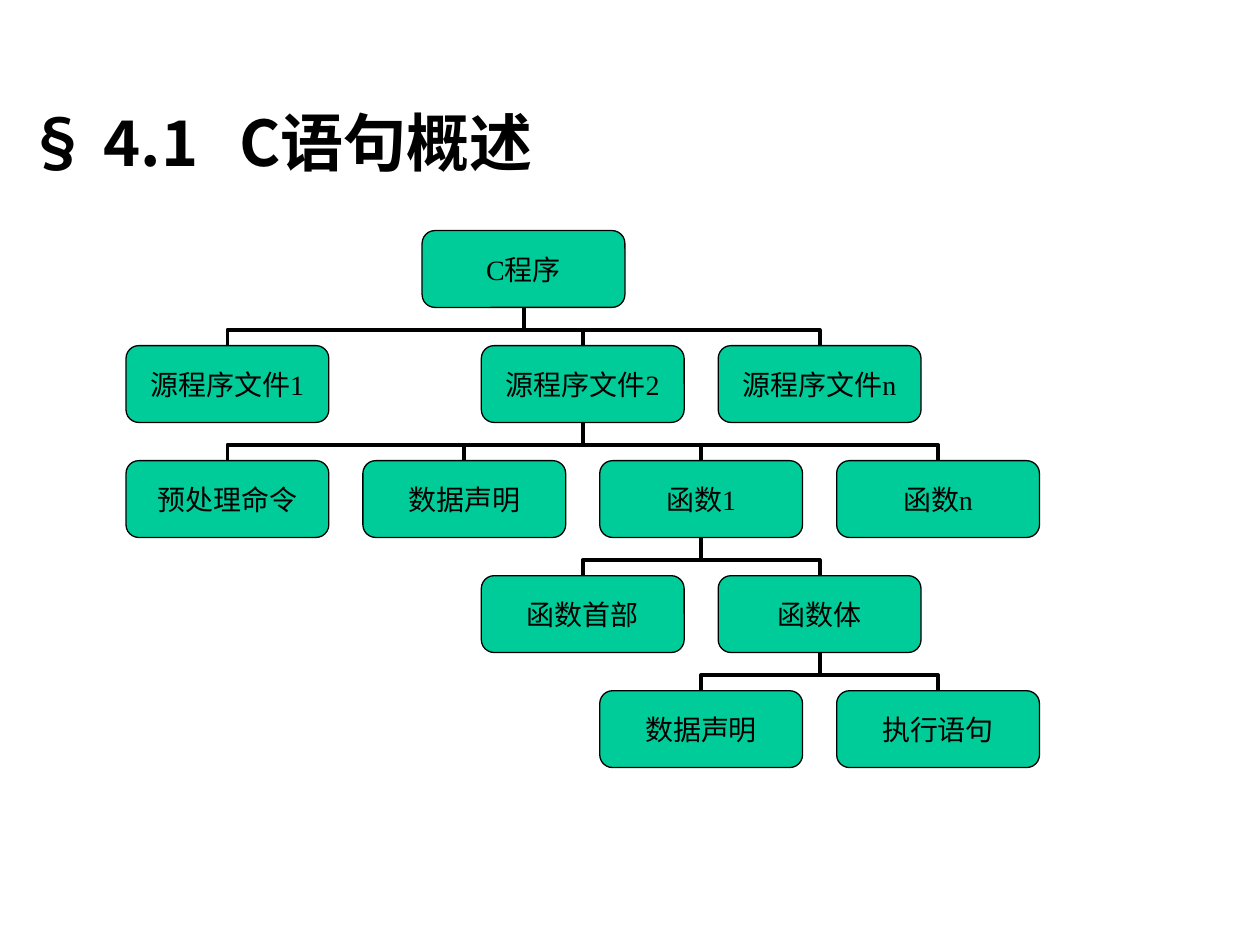
"""Build a slide with a tree of the parts of a C program."""
from lxml import etree
from pptx import Presentation, util as u
from pptx.dml.color import RGBColor
from pptx.enum import shapes, text
from pptx.oxml import ns

THEME = {
    "ink": RGBColor.from_string("000000"),
    "node": RGBColor.from_string("00CC99"),
    "latin": "Times New Roman",
    "cjk": "Noto Sans CJK SC",
    "title_size": u.Pt(36),
    "node_size": u.Pt(16),
    "branch_width": u.Pt(2.25),
    "border_width": u.Pt(0.75),
}
LEFT, TOP = u.Inches(1), u.Inches(1.83)
COLUMN, ROW = u.Inches(0.47), u.Inches(0.913)
NODE_WIDTH, NODE_HEIGHT = u.Inches(1.61), u.Inches(0.61)
GAP = ROW - NODE_HEIGHT

TREE = [
    ("C程序", 5, 0, None),
    ("源程序文件1", 0, 1, 0),
    ("源程序文件2", 6, 1, 0),
    ("源程序文件n", 10, 1, 0),
    ("预处理命令", 0, 2, 2),
    ("数据声明", 4, 2, 2),
    ("函数1", 8, 2, 2),
    ("函数n", 12, 2, 2),
    ("函数首部", 6, 3, 6),
    ("函数体", 10, 3, 6),
    ("数据声明", 8, 4, 9),
    ("执行语句", 12, 4, 9),
]


def add_span(para, wording, size, latin, bold=False):
    span = para.add_run()
    span.text = wording
    span.font.size = size
    span.font.bold = bold
    span.font.name = latin
    span.font.color.rgb = THEME["ink"]
    east_asian = etree.SubElement(span.font._element, ns.qn("a:ea"))
    east_asian.set("typeface", THEME["cjk"])


deck = Presentation()
deck.slide_width, deck.slide_height = u.Inches(10), u.Inches(7.5)
page = deck.slides.add_slide(deck.slide_layouts[6])

title = page.shapes.add_textbox(0, deck.slide_height // 15, deck.slide_width, deck.slide_height // 6)
frame = title.text_frame
frame.word_wrap = True
frame.vertical_anchor = text.MSO_ANCHOR.MIDDLE
frame.margin_left = u.Inches(0.21)
para = frame.paragraphs[0]
para.alignment = text.PP_ALIGN.LEFT
tabs = etree.SubElement(para._p.get_or_add_pPr(), ns.qn("a:tabLst"))
etree.SubElement(tabs, ns.qn("a:tab"), pos=str(u.Inches(1.69)), algn="l")
add_span(para, "§ 4.1\tC语句概述", THEME["title_size"], THEME["cjk"], bold=True)

for label, column, row, parent in TREE[1:]:
    offset = column - TREE[parent][1]
    side = 1 if offset > 0 else -1
    middle_x = LEFT + NODE_WIDTH // 2 + int((column - offset / 2) * COLUMN)
    middle_y = TOP + row * ROW - GAP // 2
    half_length, half_spread = side * GAP // 2, abs(offset) * COLUMN // 2
    branch = page.shapes.add_connector(
        shapes.MSO_CONNECTOR.ELBOW,
        middle_x - half_length, middle_y + half_spread,
        middle_x + half_length, middle_y - half_spread)
    branch.line.color.rgb = THEME["ink"]
    branch.line.width = THEME["branch_width"]
    properties = branch._element.spPr
    properties.find(ns.qn("a:xfrm")).set("rot", str((180 + side * 90) * 60000))
    guides = properties.find(ns.qn("a:prstGeom")).find(ns.qn("a:avLst"))
    etree.SubElement(guides, ns.qn("a:gd"), name="adj1", fmla="val 41100")
    etree.SubElement(properties, ns.qn("a:effectLst"))

for label, column, row, parent in TREE:
    box = page.shapes.add_shape(
        shapes.MSO_SHAPE.ROUNDED_RECTANGLE,
        LEFT + column * COLUMN, TOP + row * ROW, NODE_WIDTH, NODE_HEIGHT)
    box.shadow.inherit = False
    box.fill.solid()
    box.fill.fore_color.rgb = THEME["node"]
    box.line.color.rgb = THEME["ink"]
    box.line.width = THEME["border_width"]
    frame = box.text_frame
    frame.word_wrap = False
    frame.vertical_anchor = text.MSO_ANCHOR.MIDDLE
    frame.margin_left = frame.margin_right = frame.margin_top = frame.margin_bottom = 0
    para = frame.paragraphs[0]
    para.alignment = text.PP_ALIGN.CENTER
    add_span(para, label, THEME["node_size"], THEME["latin"])

deck.save("out.pptx")
